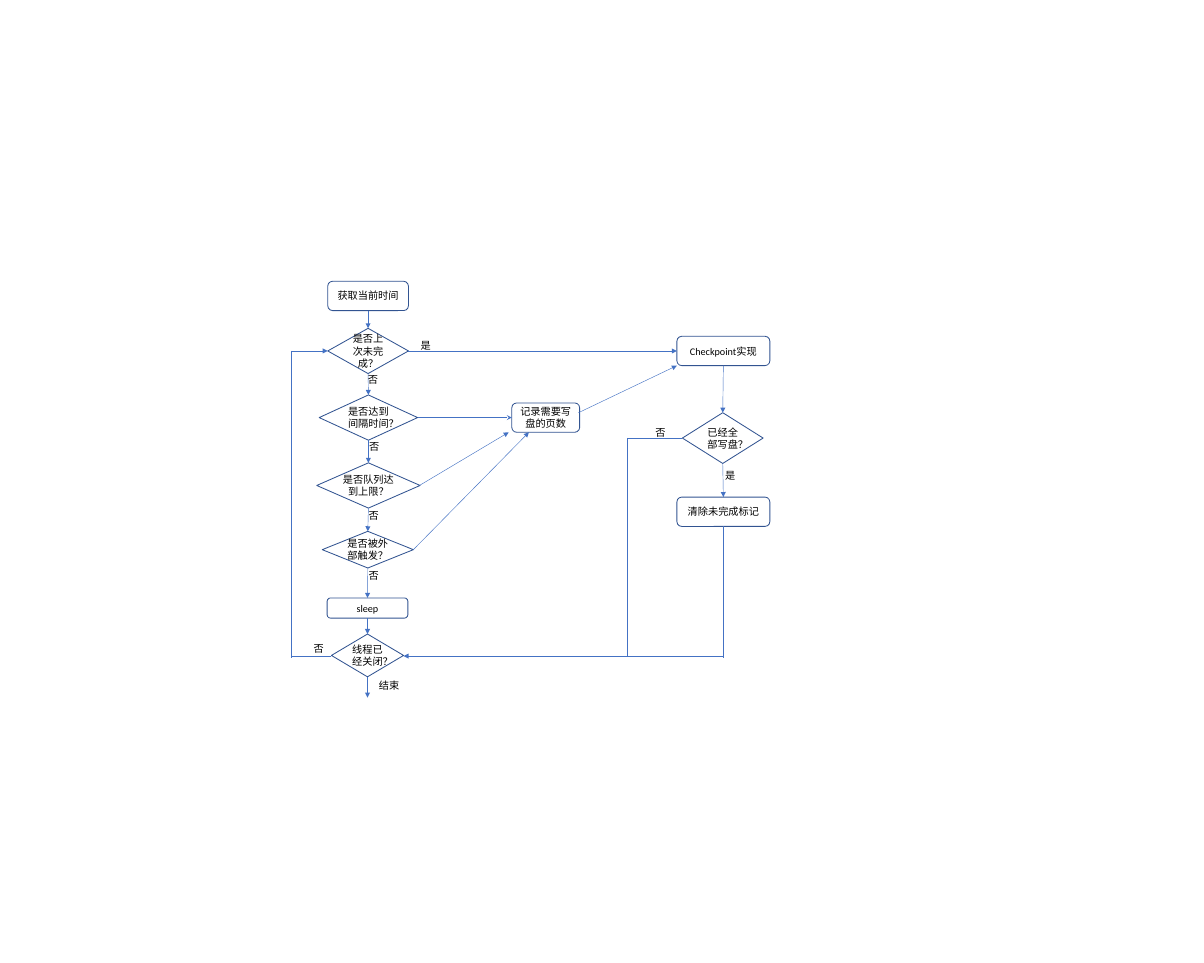
from lxml.etree import SubElement
from pptx import Presentation
from pptx.dml.color import RGBColor
from pptx.enum.shapes import MSO_CONNECTOR, MSO_SHAPE
from pptx.enum.text import MSO_ANCHOR, MSO_AUTO_SIZE, PP_ALIGN
from pptx.oxml.ns import qn
from pptx.util import Emu, Pt

PX = 9144  # 100 px to the inch
SLIDE = (1969, 1575)
FONT, TEXT_SIZE = "Calibri", 12
COLORS = {"text": "000000", "outline": "325491", "arrow": "4472C4"}

# name: (text, left, top, width, height)
STEPS = {
    "start": ("获取当前时间", 536, 460, 132, 48),
    "sleep": ("sleep", 535, 978, 132, 33),
    "checkpoint": ("Checkpoint实现", 1107, 550, 152, 48),
    "clear": ("清除未完成标记", 1107, 813, 152, 48),
    "record": ("记录需要写盘的页数", 837, 659, 111, 48),
}
DECISIONS = {
    "unfinished": ("是否上次未完成？", 536, 537, 132, 74),
    "interval": ("是否达到间隔时间？", 522, 646, 161, 74),
    "queue": ("是否队列达到上限？", 518, 757, 169, 74),
    "external": ("是否被外部触发？", 527, 869, 149, 60),
    "written": ("已经全部写盘？", 1116, 675, 132, 83),
    "closed": ("线程已经关闭？", 542, 1037, 118, 70),
}

# Each chain runs downwards, bottom of one node to top of the next
CHAINS = [
    ["start", "unfinished", "interval", "queue", "external", "sleep", "closed"],
    ["checkpoint", "written", "clear"],
]
# (from, to, arrowhead), right side of one node to left side of the other
ACROSS = [("interval", "record", "stealth"), ("unfinished", "checkpoint", "triangle")]

# (x1, y1, x2, y2, arrowhead)
LINES = [
    (946, 675, 1107, 598, "triangle"),
    (686, 794, 832, 707, "triangle"),
    (676, 899, 865, 707, "triangle"),
    (1182, 861, 1182, 1076, None),
    (1182, 1073, 660, 1073, "triangle"),
    (1026, 716, 1026, 1073, None),
    (1026, 716, 1116, 716, None),
    (477, 574, 536, 574, "triangle"),
    (477, 574, 477, 1076, None),
    (542, 1073, 477, 1073, None),
    (601, 1107, 601, 1141, "triangle"),
]

LABEL_HEIGHT = 30
# (text, left, top, width)
LABELS = [
    ("结束", 610, 1106, 54),
    ("是", 678, 550, 37),
    ("否", 594, 716, 37),
    ("否", 593, 828, 37),
    ("否", 593, 926, 37),
    ("是", 1176, 763, 37),
    ("否", 1062, 693, 37),
    ("否", 503, 1046, 37),
    ("否", 592, 606, 37),
]
TOP, LEFT, BOTTOM, RIGHT = range(4)  # connection sites


def emu(*lengths):
    return [Emu(length * PX) for length in lengths]


def color(name):
    return RGBColor.from_string(COLORS[name])


def write(frame, text):
    frame.text = text
    font = frame.paragraphs[0].runs[0].font
    font.name, font.size = FONT, Pt(TEXT_SIZE)
    font.color.rgb = color("text")


def add_node(page, kind, text, *place):
    node = page.shapes.add_shape(kind, *emu(*place))
    node.shadow.inherit = False
    node.fill.background()
    node.line.color.rgb = color("outline")
    node.line.width = Pt(1)
    frame = node.text_frame
    frame.word_wrap = True
    frame.vertical_anchor = MSO_ANCHOR.MIDDLE
    if kind == MSO_SHAPE.DIAMOND:
        frame.margin_left = frame.margin_right = 0
        frame.margin_top = frame.margin_bottom = 0
    write(frame, text)
    frame.paragraphs[0].alignment = PP_ALIGN.CENTER
    return node


def add_line(page, x1, y1, x2, y2, head):
    line = page.shapes.add_connector(MSO_CONNECTOR.STRAIGHT, *emu(x1, y1, x2, y2))
    line.line.color.rgb = color("arrow")
    line.line.width = Pt(0.5)
    if head:
        SubElement(line.line._get_or_add_ln(), qn("a:tailEnd"), type=head)
    SubElement(line._element.spPr, qn("a:effectLst"))
    return line


def join(page, first, first_site, second, second_site, head="triangle"):
    """Glue an arrow to a connection site of each node."""
    arrow = add_line(page, 0, 0, 0, 0, head)
    arrow.begin_connect(first, first_site)
    arrow.end_connect(second, second_site)


def add_label(page, text, left, top, width):
    box = page.shapes.add_textbox(*emu(left, top, width, LABEL_HEIGHT))
    box.text_frame.word_wrap = False
    box.text_frame.auto_size = MSO_AUTO_SIZE.SHAPE_TO_FIT_TEXT
    write(box.text_frame, text)


def main():
    deck = Presentation()
    deck.slide_width, deck.slide_height = emu(*SLIDE)
    page = deck.slides.add_slide(deck.slide_layouts[6])

    nodes = {}
    for kind, group in ((MSO_SHAPE.ROUNDED_RECTANGLE, STEPS), (MSO_SHAPE.DIAMOND, DECISIONS)):
        for name, content in group.items():
            nodes[name] = add_node(page, kind, *content)

    for chain in CHAINS:
        for upper, lower in zip(chain, chain[1:]):
            join(page, nodes[upper], BOTTOM, nodes[lower], TOP)
    for source, target, head in ACROSS:
        join(page, nodes[source], RIGHT, nodes[target], LEFT, head)
    # The loop back enters the first decision with its arrowhead
    for line in LINES:
        add_line(page, *line)
    for label in LABELS:
        add_label(page, *label)

    deck.save("out.pptx")


if __name__ == "__main__":
    main()
